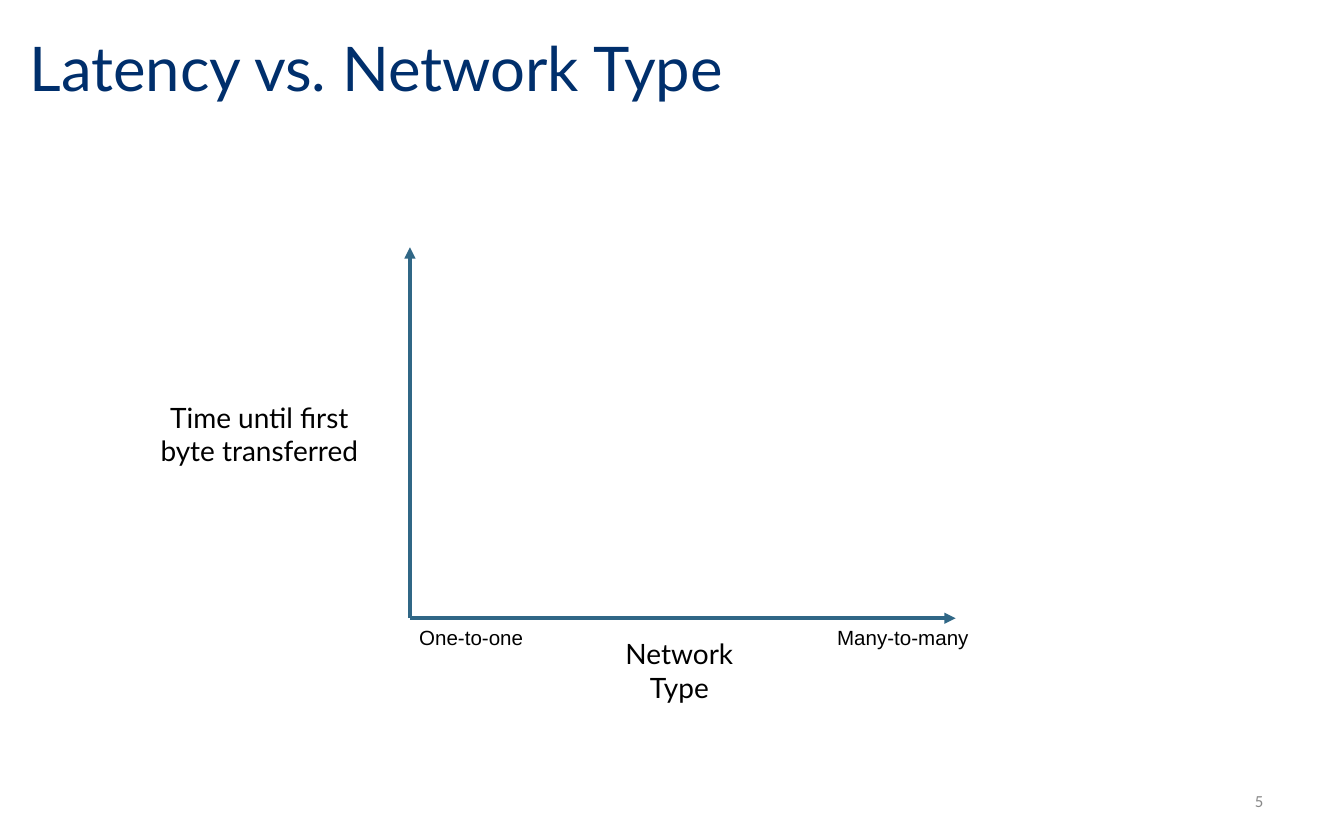
from dataclasses import dataclass

from lxml import etree
from pptx import Presentation
from pptx import util as u
from pptx.dml.color import RGBColor
from pptx.enum import shapes, text
from pptx.oxml.ns import qn


@dataclass(frozen=True)
class Theme:
    heading_font: str = "Lato"
    tick_font: str = "Arial"
    number_font: str = "Calibri"
    title_color: str = "002F6C"
    axis_color: str = "306786"
    label_color: str = "000000"
    number_color: str = "888888"
    title_size: int = 33
    label_size: int = 15
    tick_size: int = 11
    number_size: int = 9
    axis_width: int = 2


THEME = Theme()
WIDTH, HEIGHT = 10, 6.25

# Axes of the empty plot, in inches
ORIGIN = (3.05, 4.6)
AXIS_TOP = 1.84
AXIS_RIGHT = 7.11


def style_text(shape, words, font, size, color, align, anchor, wrap=True):
    """Put one formatted paragraph into a shape."""
    frame = shape.text_frame
    frame.text = words
    frame.word_wrap = wrap
    frame.auto_size = text.MSO_AUTO_SIZE.NONE
    frame.vertical_anchor = anchor
    para = frame.paragraphs[0]
    para.alignment = align
    para.font.name = font
    para.font.size = u.Pt(size)
    para.font.color.rgb = RGBColor.from_string(color)
    return para


def add_title(page, words):
    title = page.shapes.title
    title.left, title.top = u.Inches(0.12), u.Inches(0.1)
    title.width, title.height = u.Inches(8.52), u.Inches(0.86)
    para = style_text(title, words, THEME.heading_font, THEME.title_size,
                      THEME.title_color, text.PP_ALIGN.LEFT, text.MSO_ANCHOR.MIDDLE)
    para.line_spacing = 0.9


def add_label(page, words, place, font, size, color=THEME.label_color,
              align=text.PP_ALIGN.CENTER, anchor=text.MSO_ANCHOR.TOP, wrap=True):
    box = page.shapes.add_textbox(*map(u.Inches, place))
    style_text(box, words, font, size, color, align, anchor, wrap)


def add_axis(page, end):
    """Draw an arrow from the origin to the given point."""
    axis = page.shapes.add_connector(shapes.MSO_CONNECTOR.STRAIGHT,
                                     *map(u.Inches, ORIGIN + end))
    axis.line.color.rgb = RGBColor.from_string(THEME.axis_color)
    axis.line.width = u.Pt(THEME.axis_width)
    etree.SubElement(axis.line._get_or_add_ln(), qn("a:tailEnd"), type="triangle")
    etree.SubElement(axis._element.spPr, qn("a:effectLst"))


def main():
    deck = Presentation()
    deck.slide_width, deck.slide_height = u.Inches(WIDTH), u.Inches(HEIGHT)
    page = deck.slides.add_slide(deck.slide_layouts.get_by_name("Title Only"))
    add_title(page, "Latency vs. Network Type")

    # Slide number
    add_label(page, "5", (0.8 * WIDTH, 5.79, 0.15 * WIDTH, 0.33),
              THEME.number_font, THEME.number_size, THEME.number_color,
              text.PP_ALIGN.RIGHT, text.MSO_ANCHOR.MIDDLE)

    # Axes
    origin_x, origin_y = ORIGIN
    add_axis(page, (origin_x, AXIS_TOP))
    add_axis(page, (AXIS_RIGHT, origin_y))

    # Axis titles
    for words, place in (
        ("Time until first byte transferred", (0.99, 2.93, 1.88, 0.61)),
        ("Network Type", (4.49, 4.69, 1.13, 0.61)),
    ):
        add_label(page, words, place, THEME.heading_font, THEME.label_size)

    # Ends of the horizontal scale
    for words, left, width in (("One-to-one", 3.02, 0.98),
                               ("Many-to-many", 6.13, 1.19)):
        add_label(page, words, (left, origin_y, width, 0.29), THEME.tick_font,
                  THEME.tick_size, align=text.PP_ALIGN.LEFT, wrap=False)

    deck.save("out.pptx")


if __name__ == "__main__":
    main()
